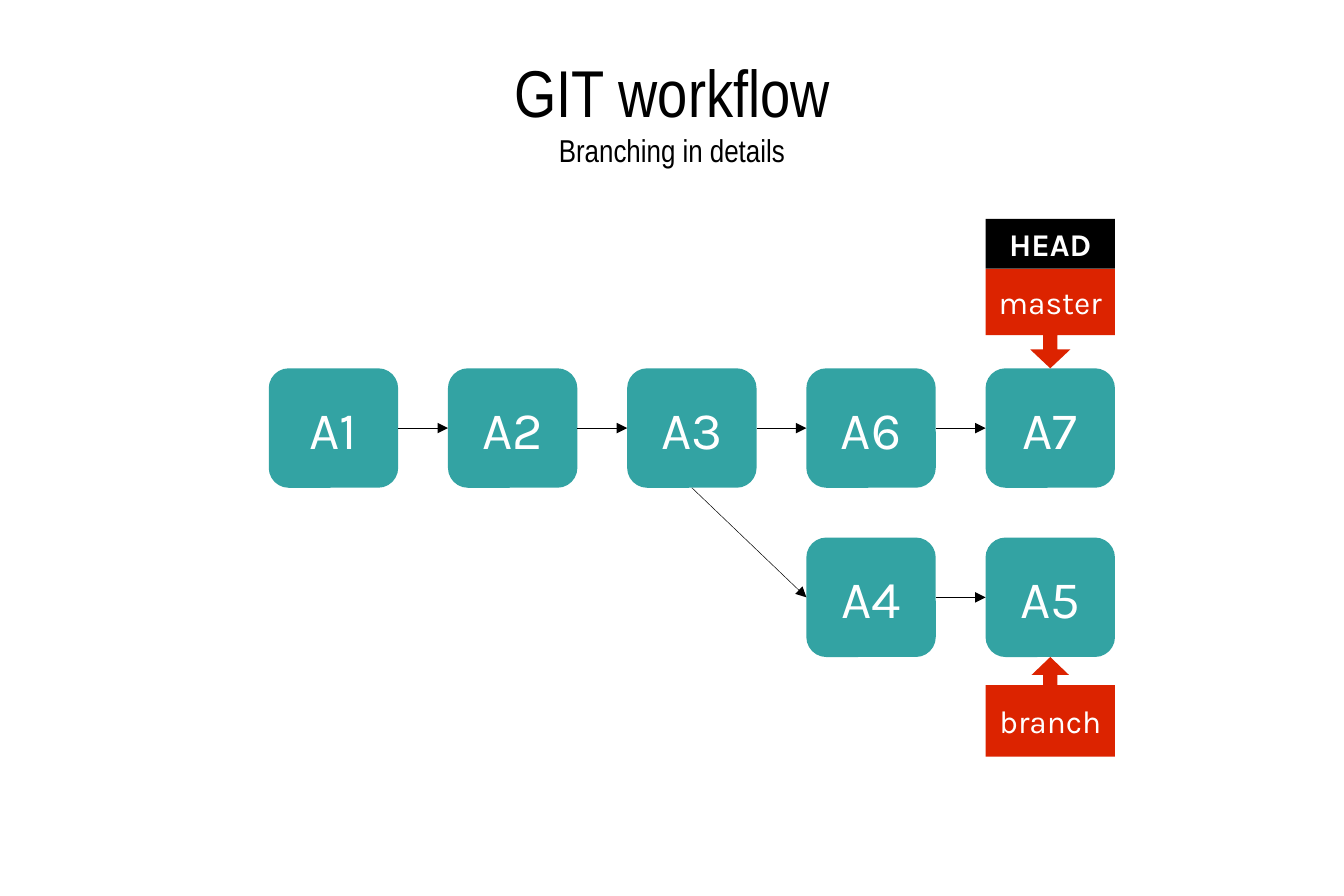
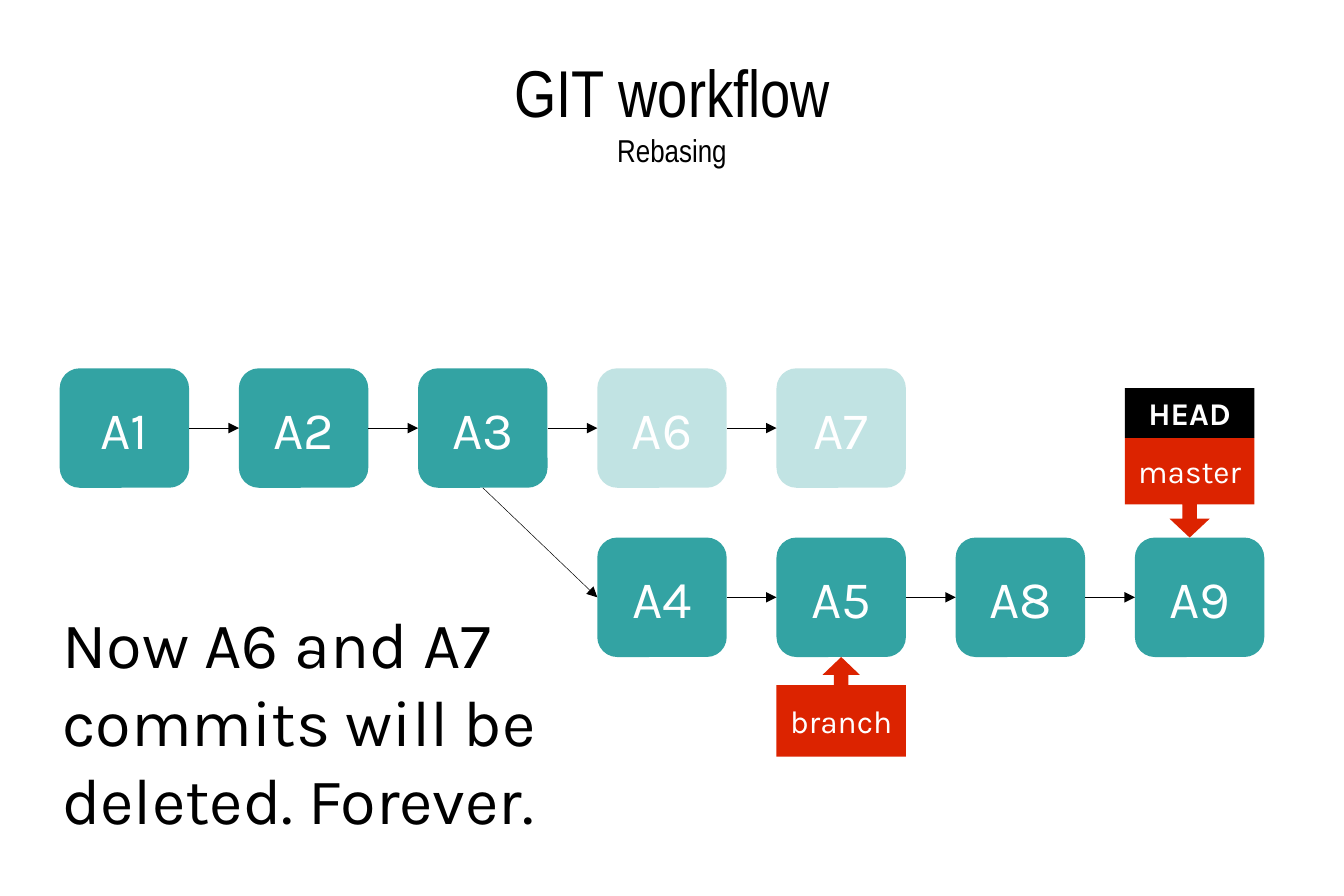
"""Build two slides on branching and rebasing."""
from dataclasses import dataclass

from lxml import etree
from pptx import Presentation
from pptx.dml.color import RGBColor
from pptx.enum.shapes import MSO_CONNECTOR, MSO_SHAPE
from pptx.enum.text import MSO_ANCHOR, PP_ALIGN
from pptx.oxml.ns import qn
from pptx.util import Cm, Pt

RECTANGLE = MSO_SHAPE.RECTANGLE
ROUNDED = MSO_SHAPE.ROUNDED_RECTANGLE
DOWN_CALLOUT = MSO_SHAPE.DOWN_ARROW_CALLOUT
UP_CALLOUT = MSO_SHAPE.UP_ARROW_CALLOUT
STRAIGHT = MSO_CONNECTOR.STRAIGHT
TOP, MIDDLE = MSO_ANCHOR.TOP, MSO_ANCHOR.MIDDLE
LEFT, CENTER = PP_ALIGN.LEFT, PP_ALIGN.CENTER
LEFT_SIDE, BOTTOM_SIDE, RIGHT_SIDE = 1, 2, 3

BOX_WIDTH, BOX_HEIGHT = 2.6, 2.4
COLUMN_PITCH, ROW_PITCH = 3.6, 3.4
FIRST_ROW_TOP = 7.4
LABEL_HEIGHT, HEAD_HEIGHT = 2.0, 1.0


@dataclass(frozen=True)
class Theme:
    """Colours, fonts and type sizes."""
    ink: RGBColor = RGBColor.from_string("000000")
    paper: RGBColor = RGBColor.from_string("FFFFFF")
    commit: RGBColor = RGBColor.from_string("33A3A3")
    label: RGBColor = RGBColor.from_string("DC2300")
    title_font: str = "Arial Narrow"
    body_font: str = "Karla"
    title_size: float = 37.7
    subtitle_size: float = 18
    commit_size: float = 30
    label_size: float = 18
    note_size: float = 37
    line_width: float = 0.28
    faded_alpha: int = 30


class WorkflowDeck:
    """Draw commit graphs in one style."""

    def __init__(self, theme):
        """Start an empty deck."""
        self.theme = theme
        self.deck = Presentation()
        self.deck.slide_width, self.deck.slide_height = Cm(27), Cm(18)
        self.page = None
        self.origin = 0

    def add_page(self, subtitle, origin):
        """Add a titled slide whose grid starts at origin."""
        theme = self.theme
        self.page = self.deck.slides.add_slide(self.deck.slide_layouts[6])
        self.origin = origin
        box = self.page.shapes.add_textbox(Cm(1.35), Cm(0.72), Cm(24.3), Cm(3))
        para = self.set_frame(box, MIDDLE, CENTER, wrap=True, margins=(0, 0))
        self.add_span(para, "GIT workflow", theme.title_size, theme.ink, theme.title_font)
        para.add_line_break()
        self.add_span(para, subtitle, theme.subtitle_size, theme.ink, theme.title_font)

    def set_frame(self, box, anchor, alignment, wrap, margins=(0.25, 0.13)):
        """Format a text frame and return its first paragraph."""
        across, down = map(Cm, margins)
        values = {
            "vertical_anchor": anchor, "word_wrap": wrap,
            "margin_left": across, "margin_right": across,
            "margin_top": down, "margin_bottom": down,
        }
        for name, value in values.items():
            setattr(box.text_frame, name, value)
        para = box.text_frame.paragraphs[0]
        para.alignment = alignment
        return para

    def add_span(self, para, text, size, color, font, bold=False):
        """Add a formatted run."""
        span = para.add_run()
        span.text = text
        for name, value in {"size": Pt(size), "name": font, "bold": bold}.items():
            setattr(span.font, name, value)
        span.font.color.rgb = color

    def add_box(self, kind, text, place, fill, size, bold=False, adjustments=()):
        """Add a filled shape with centred text."""
        box = self.page.shapes.add_shape(kind, *map(Cm, place))
        box.shadow.inherit = False
        box.fill.solid()
        box.fill.fore_color.rgb = fill
        box.line.fill.background()
        for index, value in enumerate(adjustments):
            box.adjustments[index] = value
        para = self.set_frame(box, MIDDLE, CENTER, wrap=False)
        self.add_span(para, text, size, self.theme.paper, self.theme.body_font, bold)
        return box

    def add_commit(self, text, column, row, faded=False):
        """Add a commit in a grid cell."""
        left = self.origin + column * COLUMN_PITCH
        top = FIRST_ROW_TOP + row * ROW_PITCH
        box = self.add_box(ROUNDED, text, (left, top, BOX_WIDTH, BOX_HEIGHT),
                           self.theme.commit, self.theme.commit_size)
        if faded:
            color = box.fill._xPr.find(qn("a:solidFill"))[0]
            alpha = etree.SubElement(color, qn("a:alpha"))
            alpha.set("val", str(self.theme.faded_alpha * 1000))
        return box

    def add_arrow(self, start, end, start_side=RIGHT_SIDE):
        """Join two commits with an arrow."""
        arrow = self.page.shapes.add_connector(STRAIGHT, 0, 0, 0, 0)
        arrow.begin_connect(start, start_side)
        arrow.end_connect(end, LEFT_SIDE)
        arrow.line.color.rgb = self.theme.ink
        arrow.line.width = Pt(self.theme.line_width)
        tail = etree.SubElement(arrow.line._get_or_add_ln(), qn("a:tailEnd"))
        tail.set("type", "triangle")
        etree.SubElement(arrow._element.spPr, qn("a:effectLst"))

    def add_row(self, names, first_column, row, faded=()):
        """Add a chain of commits and return them by name."""
        boxes = {name: self.add_commit(name, first_column + step, row, name in faded)
                 for step, name in enumerate(names)}
        chain = list(boxes.values())
        for start, end in zip(chain, chain[1:]):
            self.add_arrow(start, end)
        return boxes

    def add_graph(self, main, side, master_at, faded=()):
        """Add both branches with their labels."""
        commits = self.add_row(main, 0, 0, faded)
        commits.update(self.add_row(side, 3, 1))
        self.add_arrow(commits["A3"], commits["A4"], BOTTOM_SIDE)
        self.add_master(*master_at)
        self.add_label(UP_CALLOUT, "branch", self.origin + 4 * COLUMN_PITCH,
                       FIRST_ROW_TOP + ROW_PITCH + BOX_HEIGHT,
                       (0.145, 0.187, 0.179, 0.718))

    def add_label(self, kind, text, left, top, adjustments):
        """Add a branch label that points at a commit."""
        self.add_box(kind, text, (left, top, BOX_WIDTH, LABEL_HEIGHT), self.theme.label,
                     self.theme.label_size, adjustments=adjustments)

    def add_master(self, left, row):
        """Add the master label with HEAD above it."""
        top = FIRST_ROW_TOP + row * ROW_PITCH - LABEL_HEIGHT
        self.add_label(DOWN_CALLOUT, "master", left, top, (0.144, 0.201, 0.189, 0.667))
        self.add_box(RECTANGLE, "HEAD", (left, top - HEAD_HEIGHT, BOX_WIDTH, HEAD_HEIGHT),
                     self.theme.ink, self.theme.label_size, bold=True)

    def add_note(self, text, place):
        """Add a large remark."""
        box = self.page.shapes.add_textbox(*map(Cm, place))
        para = self.set_frame(box, TOP, LEFT, wrap=True)
        self.add_span(para, text, self.theme.note_size, self.theme.ink, self.theme.body_font)


def main():
    """Build and save the deck."""
    workflow = WorkflowDeck(Theme())
    main_branch = ("A1", "A2", "A3", "A6", "A7")

    workflow.add_page("Branching in details", 5.4)
    workflow.add_graph(main_branch, ("A4", "A5"), master_at=(19.8, 0))

    workflow.add_page("Rebasing", 1.2)
    workflow.add_graph(main_branch, ("A4", "A5", "A8", "A9"), master_at=(22.6, 1),
                       faded=("A6", "A7"))
    workflow.add_note("Now A6 and A7 commits will be deleted. Forever.", (1, 12, 13.2, 5.56))

    workflow.deck.save("out.pptx")


if __name__ == "__main__":
    main()
